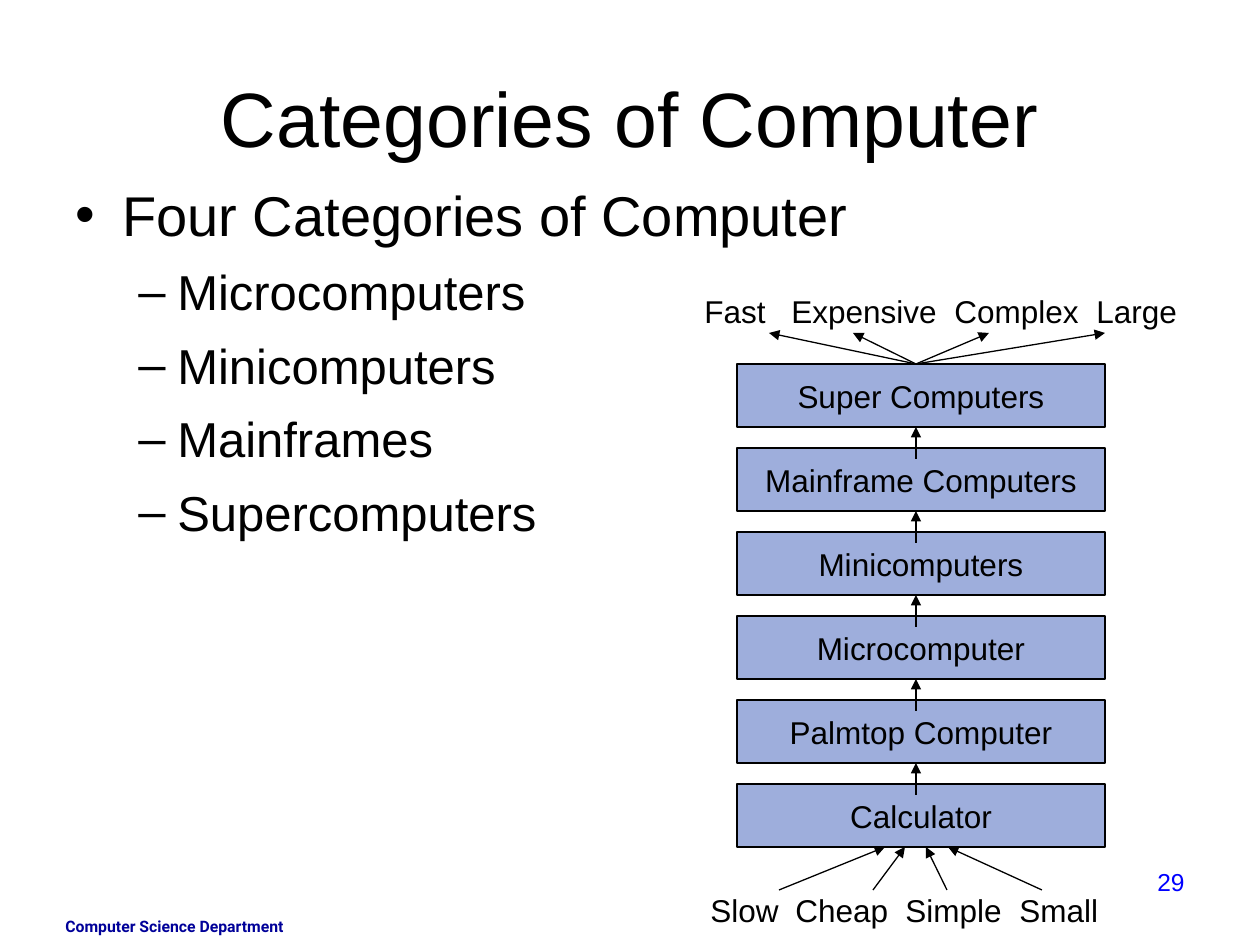
import dataclasses
import typing

import pptx
import pptx.dml.color
import pptx.enum.shapes
import pptx.enum.text
import pptx.oxml
import pptx.oxml.ns
import pptx.util

EMU_PER_PX = 914400 / 126
COLORS = {"ink": "000000", "box": "9EAEDC", "footer": "000099", "number": "0000FF"}
ALIGN = pptx.enum.text.PP_ALIGN
ANCHOR = pptx.enum.text.MSO_ANCHOR


def px(length: int) -> int:
    return round(length * EMU_PER_PX)


def rgb(name: str) -> pptx.dml.color.RGBColor:
    return pptx.dml.color.RGBColor.from_string(COLORS[name])


@dataclasses.dataclass
class Frame:
    left: int
    top: int
    width: int
    height: int

    def emu(self) -> list[int]:
        return [px(v) for v in (self.left, self.top, self.width, self.height)]


@dataclasses.dataclass
class Label:
    text: str
    frame: Frame
    size: int
    color: str = "ink"
    font: str = "Arial"
    bold: bool = False
    align: typing.Any = ALIGN.LEFT
    tabs: tuple[int, ...] = ()


@dataclasses.dataclass
class Bullet:
    text: str
    level: int
    size: int
    mark: str
    margin: int
    hang: int


@dataclasses.dataclass
class Arrow:
    start: tuple[int, int]
    end: tuple[int, int]


def append_xml(parent: typing.Any, tag: str, attributes: str = "", inner: str = "") -> None:
    namespace = pptx.oxml.ns.nsdecls("a")
    parent.append(pptx.oxml.parse_xml(f"<a:{tag} {namespace} {attributes}>{inner}</a:{tag}>"))


def style(paragraph: typing.Any, size: int, color: str = "ink",
          font: str = "Arial", bold: bool = False) -> None:
    paragraph.font.size = pptx.util.Pt(size)
    paragraph.font.name = font
    paragraph.font.bold = bold
    paragraph.font.color.rgb = rgb(color)


def draw_label(slide: typing.Any, label: Label) -> None:
    frame = slide.shapes.add_textbox(*label.frame.emu()).text_frame
    frame.word_wrap = True
    paragraph = frame.paragraphs[0]
    paragraph.text = label.text
    paragraph.alignment = label.align
    if label.tabs:
        stops = "".join(f'<a:tab pos="{px(stop)}" algn="l"/>' for stop in label.tabs)
        append_xml(paragraph._p.get_or_add_pPr(), "tabLst", inner=stops)
    style(paragraph, label.size, label.color, label.font, label.bold)


def draw_bullets(slide: typing.Any, area: Frame, bullets: list[Bullet]) -> None:
    frame = slide.shapes.add_textbox(*area.emu()).text_frame
    frame.word_wrap = True
    frame.margin_top = px(12)
    for index, bullet in enumerate(bullets):
        paragraph = frame.add_paragraph() if index else frame.paragraphs[0]
        paragraph.text = bullet.text
        paragraph.level = bullet.level
        properties = paragraph._p.get_or_add_pPr()
        properties.set("marL", str(px(bullet.margin)))
        properties.set("indent", str(-px(bullet.hang)))
        append_xml(properties, "buFont", 'typeface="Arial"')
        append_xml(properties, "buChar", f'char="{bullet.mark}"')
        if index:
            paragraph.space_before = pptx.util.Pt(8.4)
        style(paragraph, bullet.size)


def draw_box(slide: typing.Any, text: str, area: Frame) -> None:
    box = slide.shapes.add_shape(pptx.enum.shapes.MSO_SHAPE.RECTANGLE, *area.emu())
    box.shadow.inherit = False
    box.fill.solid()
    box.fill.fore_color.rgb = rgb("box")
    box.line.color.rgb = rgb("ink")
    box.line.width = pptx.util.Pt(0.75)
    box.text_frame.vertical_anchor = ANCHOR.MIDDLE
    paragraph = box.text_frame.paragraphs[0]
    paragraph.text = text
    paragraph.alignment = ALIGN.CENTER
    style(paragraph, 18)


def draw_arrow(slide: typing.Any, arrow: Arrow) -> None:
    line = slide.shapes.add_connector(
        pptx.enum.shapes.MSO_CONNECTOR.STRAIGHT,
        *[px(v) for v in (*arrow.start, *arrow.end)])
    line.line.color.rgb = rgb("ink")
    line.line.width = pptx.util.Pt(0.75)
    append_xml(line.line._get_or_add_ln(), "tailEnd", 'type="triangle"')
    append_xml(line._element.spPr, "effectLst")


def main() -> None:
    deck = pptx.Presentation()
    deck.slide_width, deck.slide_height = px(1260), px(945)
    slide = deck.slides.add_slide(deck.slide_layouts[5])

    # Title
    title = slide.shapes.title
    title.left, title.top, title.width, title.height = Frame(63, 38, 1134, 158).emu()
    title.text_frame.vertical_anchor = ANCHOR.MIDDLE
    heading = title.text_frame.paragraphs[0]
    heading.text = "Categories of Computer"
    heading.alignment = ALIGN.CENTER
    style(heading, 44)

    # List of categories
    categories = ["Microcomputers", "Minicomputers", "Mainframes", "Supercomputers"]
    draw_bullets(slide, Frame(63, 168, 1134, 624), [
        Bullet("Four Categories of Computer", 0, 32, "•", 47, 47),
        *[Bullet(name, 1, 28, "–", 102, 39) for name in categories],
    ])

    # Ladder of computers, fastest on top
    ladder = ["Super Computers", "Mainframe Computers", "Minicomputers",
              "Microcomputer", "Palmtop Computer", "Calculator"]
    top, height, pitch, axis = 364, 63, 84, 916
    bottoms = [top + pitch * step + height for step in range(len(ladder))]
    for name, bottom in zip(ladder, bottoms):
        draw_box(slide, name, Frame(737, bottom - height, 368, height))

    # Arrows up the ladder, out to the top traits and in from the bottom ones
    arrows = [Arrow((axis, bottom + 32), (axis, bottom)) for bottom in bottoms[:-1]]
    arrows += [Arrow((axis, top), (x, 333)) for x in (1105, 989, 853, 769)]
    arrows += [Arrow((start, 890), (end, bottoms[-1]))
               for start, end in ((779, 885), (873, 905), (947, 926), (1042, 948))]
    for arrow in arrows:
        draw_arrow(slide, arrow)

    # Traits, footer and slide number
    for label in (
        Label("Fast\tExpensive\tComplex\tLarge", Frame(692, 286, 498, 50), 18,
              tabs=(87, 250, 392)),
        Label("Slow\tCheap\tSimple\tSmall", Frame(698, 885, 413, 50), 18,
              tabs=(85, 195, 309)),
        Label("Computer Science Department", Frame(53, 911, 294, 34), 9,
              "footer", "Roboto", True),
        Label("29", Frame(903, 861, 294, 66), 14, "number", align=ALIGN.RIGHT),
    ):
        draw_label(slide, label)

    deck.save("out.pptx")


if __name__ == "__main__":
    main()
